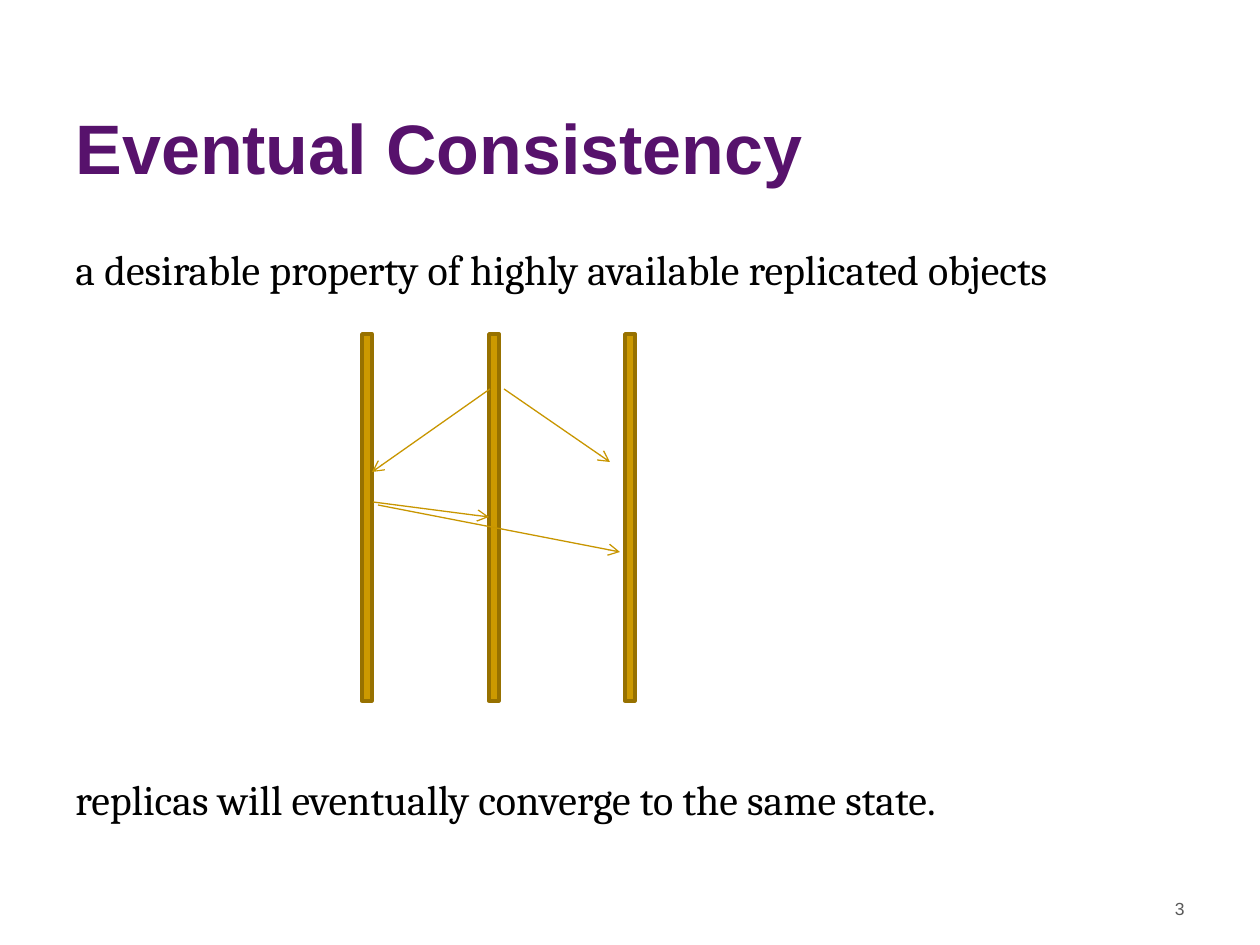
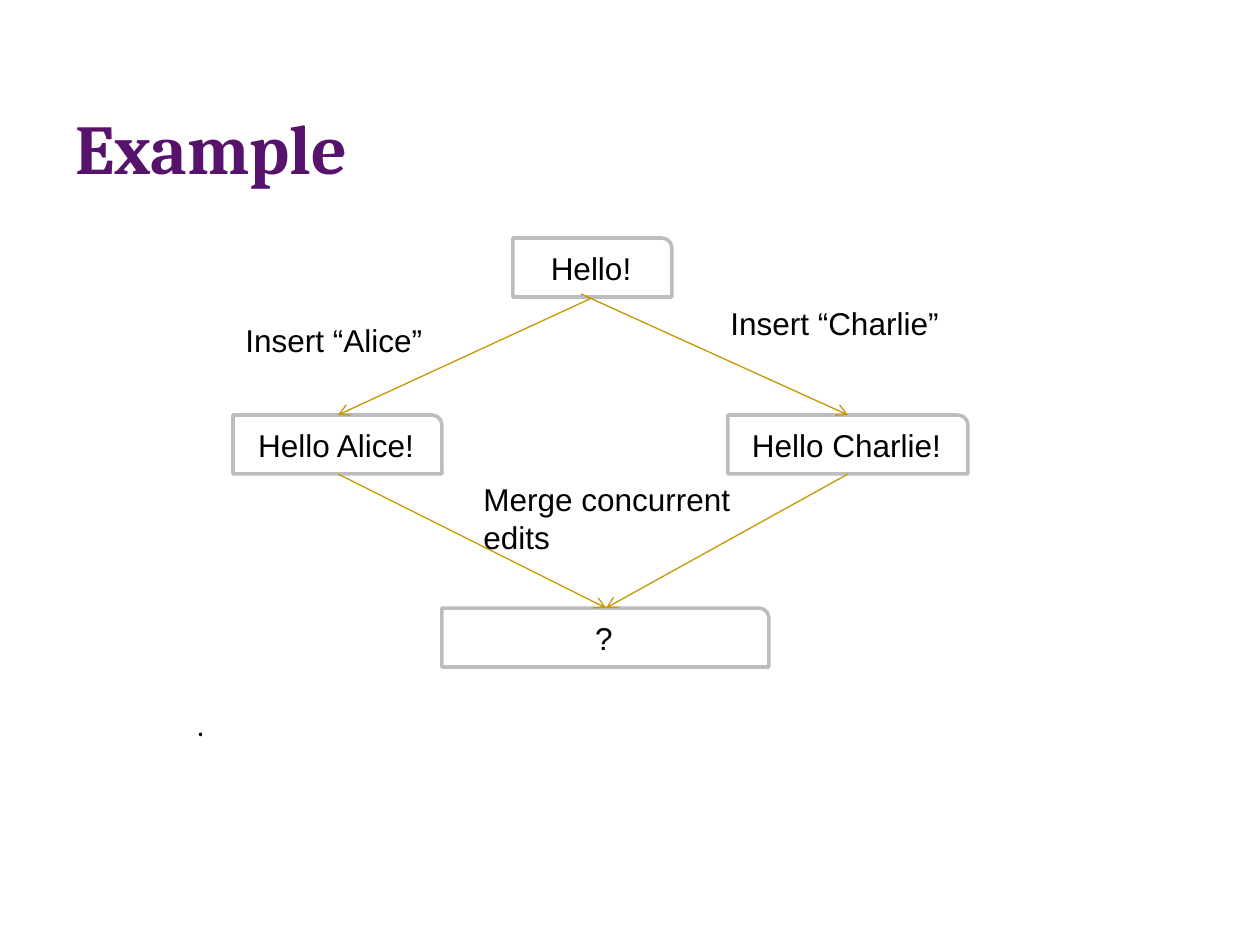
"""Build two slides on eventual consistency of replicated objects."""
from lxml import etree
from pptx import Presentation
from pptx.dml.color import RGBColor
from pptx.enum.shapes import MSO_CONNECTOR, MSO_SHAPE
from pptx.enum.text import MSO_ANCHOR, PP_ALIGN
from pptx.oxml.ns import qn
from pptx.util import Pt

PX = 914400 / 126
LEFT, MID, RIGHT = PP_ALIGN.LEFT, PP_ALIGN.CENTER, PP_ALIGN.RIGHT
TOP, CENTER, BOTTOM = MSO_ANCHOR.TOP, MSO_ANCHOR.MIDDLE, MSO_ANCHOR.BOTTOM
RECT, CARD = MSO_SHAPE.RECTANGLE, MSO_SHAPE.ROUND_1_RECTANGLE
LINE = MSO_CONNECTOR.STRAIGHT
SANS, SERIF = "Arial", "Cambria"
PURPLE, BLACK, GREY, WHITE = "57126C", "000000", "595959", "FFFFFF"
GOLD, BROWN, ARROW, SILVER = "CC9900", "977100", "C89600", "BDBDBD"


def place(*nums):
    return [round(n * PX) for n in nums]


def write(shape, lines, size, font, color, align=LEFT, anchor=TOP, bold=False):
    frame = shape.text_frame
    frame.word_wrap = True
    frame.vertical_anchor = anchor
    for i, (text, gap) in enumerate(lines):
        par = frame.add_paragraph() if i else frame.paragraphs[0]
        par.alignment = align
        par.space_before = Pt(gap)
        run = par.add_run()
        run.text = text
        run.font.size = Pt(size)
        run.font.name = font
        run.font.bold = bold
        run.font.color.rgb = RGBColor.from_string(color)


deck = Presentation()
deck.slide_width, deck.slide_height = place(1260, 945)

PAGES = [
    {
        "title": ("Eventual Consistency", SANS),
        "shapes": [(RECT, x, 334, 10, 367, GOLD, BROWN, "") for x in (362, 489, 625)],
        "arrows": [(490, 389, 372, 472), (504, 389, 610, 462),
                   (373, 502, 489, 517), (378, 505, 620, 552)],
        "texts": [
            (63, 237, 1134, 650, 24, SERIF, BLACK, LEFT,
             [("a desirable property of highly available replicated objects", 2),
              ("replicas will eventually converge to the same state.", 274)]),
            (903, 892, 294, 49, 10, SANS, GREY, RIGHT, [("3", 0)]),
        ],
    },
    {
        "title": ("Example", SERIF),
        "shapes": [(CARD, x, y, w, 59, WHITE, SILVER, text) for x, y, w, text in (
            (513, 238, 159, "Hello!"), (233, 415, 209, "Hello Alice!"),
            (728, 415, 240, "Hello Charlie!"), (442, 608, 327, "?"))],
        "arrows": [(592, 298, 338, 415), (581, 294, 848, 415),
                   (338, 474, 606, 608), (848, 474, 606, 608)],
        "texts": [(x, y, w, h, 18, font, BLACK, LEFT, [(text, 0)])
                  for x, y, w, h, font, text in (
            (233, 315, 280, 50, SANS, "Insert “Alice”"),
            (718, 298, 328, 50, SANS, "Insert “Charlie”"),
            (471, 474, 297, 89, SANS, "Merge concurrent edits"),
            (185, 699, 871, 50, SERIF, "."))],
    },
]

for page in PAGES:
    slide = deck.slides.add_slide(deck.slide_layouts[5])
    title = slide.shapes.title
    title.left, title.top, title.width, title.height = place(63, 16, 1040, 179)
    name, face = page["title"]
    write(title, [(name, 0)], 40, face, PURPLE, anchor=BOTTOM, bold=True)

    for kind, x, y, w, h, fill, edge, text in page["shapes"]:
        shape = slide.shapes.add_shape(kind, *place(x, y, w, h))
        shape.shadow.inherit = False
        shape.fill.solid()
        shape.fill.fore_color.rgb = RGBColor.from_string(fill)
        shape.line.color.rgb = RGBColor.from_string(edge)
        shape.line.width = Pt(2)
        if text:
            write(shape, [(text, 0)], 18, SANS, BLACK, MID, CENTER)

    for ends in page["arrows"]:
        arrow = slide.shapes.add_connector(LINE, *place(*ends))
        arrow.line.color.rgb = RGBColor.from_string(ARROW)
        arrow.line.width = Pt(0.75)
        etree.SubElement(arrow.line._get_or_add_ln(), qn("a:tailEnd"), type="arrow")
        etree.SubElement(arrow._element.spPr, qn("a:effectLst"))

    for x, y, w, h, size, font, color, align, lines in page["texts"]:
        box = slide.shapes.add_textbox(*place(x, y, w, h))
        write(box, lines, size, font, color, align)

deck.save("out.pptx")
